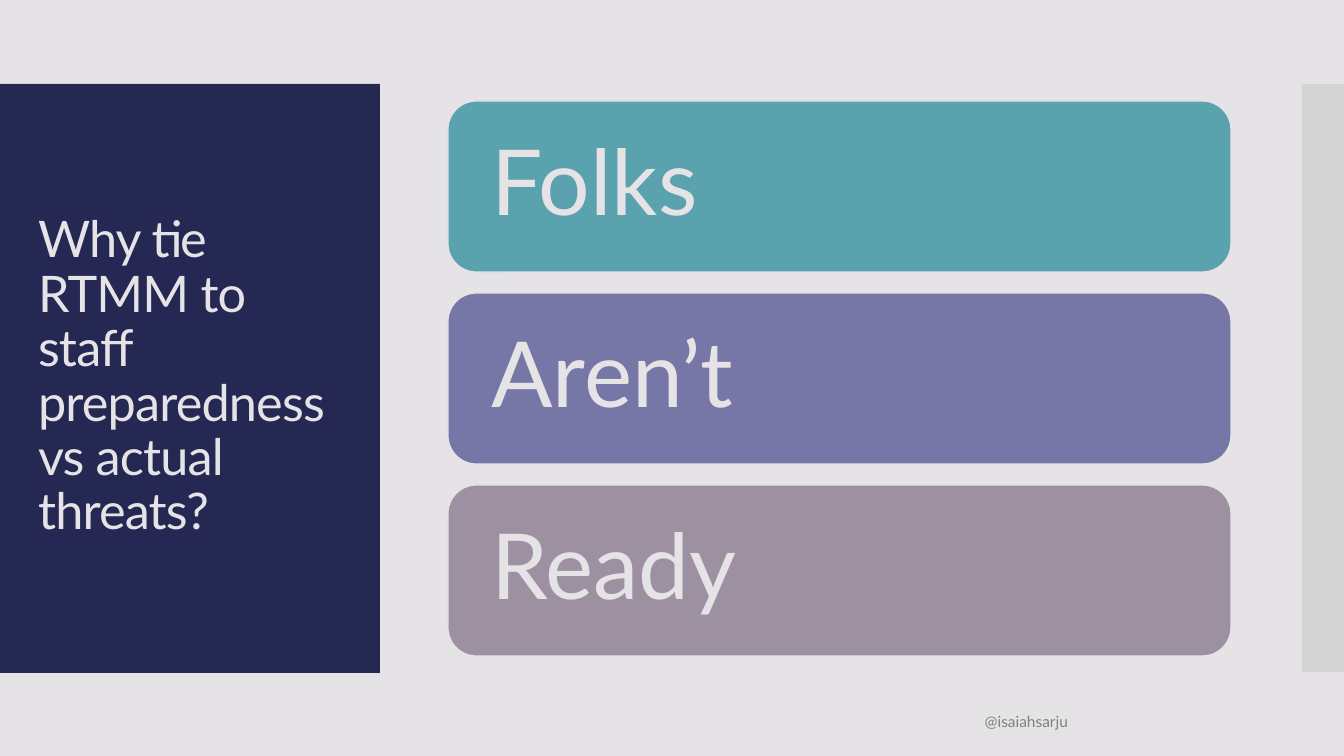
from dataclasses import dataclass
from lxml.etree import SubElement
from pptx import Presentation
from pptx.dml.color import RGBColor
from pptx.enum.shapes import MSO_SHAPE
from pptx.enum.text import MSO_ANCHOR, MSO_AUTO_SIZE, PP_ALIGN
from pptx.oxml.ns import qn
from pptx.util import Pt

SCALE = 12192000 / 1344


@dataclass(frozen=True)
class Theme:
    font: str = "Lato"
    paper: str = "E5E3E6"
    navy: str = "242852"
    edge: str = "C8C8C8"
    muted: str = "808080"
    cards: tuple = ("5AA2AE", "7677A6", "9D90A0")
    title: int = 36
    card: int = 65
    footer: int = 11


T = Theme()


def px(n):
    return round(n * SCALE)


def rgb(color):
    return RGBColor.from_string(color)


def write(sp, text, size, color, align=PP_ALIGN.LEFT, spacing=None, track=None, inset=(10, 5)):
    tf = sp.text_frame
    tf.word_wrap = True
    tf.auto_size = MSO_AUTO_SIZE.NONE
    tf.vertical_anchor = MSO_ANCHOR.MIDDLE
    tf.margin_left = tf.margin_right = px(inset[0])
    tf.margin_top = tf.margin_bottom = px(inset[1])
    p = tf.paragraphs[0]
    p.alignment = align
    p.line_spacing = spacing
    r = p.add_run()
    r.text = text
    r.font.name = T.font
    r.font.size = Pt(size)
    r.font.color.rgb = rgb(color)
    if track is not None:
        r.font._element.set("spc", str(round(track * 100)))


def block(s, box, fill, kind=MSO_SHAPE.RECTANGLE, line=None, alpha=None):
    sp = s.shapes.add_shape(kind, *map(px, box))
    sp.shadow.inherit = False
    sp.fill.solid()
    sp.fill.fore_color.rgb = rgb(fill)
    if alpha is not None:
        clr = sp._element.spPr.find(qn("a:solidFill"))[0]
        SubElement(clr, qn("a:alpha")).set("val", str(alpha * 1000))
    if line:
        sp.line.color.rgb = rgb(line)
        sp.line.width = Pt(0.85)
    else:
        sp.line.fill.background()
    return sp


def title_panel(s, box, text):
    x, y, w, h = box
    panel = block(s, box, T.navy)
    title = s.shapes.title
    panel._element.addnext(title._element)
    title.left, title.top, title.width, title.height = map(px, (x + 28, y + 40, w - 55, h - 82))
    write(title, text, T.title, T.paper, spacing=0.9, track=-0.6)


def card_stack(s, box, words, gap=21):
    x, y, w, h = box
    card_h = (h - gap * (len(words) - 1)) / len(words)
    for i, (word, fill) in enumerate(zip(words, T.cards)):
        card = block(s, (x, y + i * (card_h + gap), w, card_h), fill,
                     MSO_SHAPE.ROUNDED_RECTANGLE, T.paper)
        write(card, word, T.card, T.paper, spacing=0.9, inset=(35, 35))


def footer(s, box, text):
    sp = s.shapes.add_textbox(*map(px, box))
    write(sp, text, T.footer, T.muted, align=PP_ALIGN.RIGHT)


def main():
    prs = Presentation()
    prs.slide_width, prs.slide_height = px(1344), px(756)
    s = prs.slides.add_slide(prs.slide_layouts[5])
    s.background.fill.solid()
    s.background.fill.fore_color.rgb = rgb(T.paper)
    block(s, (1302, 84, 42, 588), T.edge, alpha=50)
    title_panel(s, (0, 84, 380, 589), "Why tie RTMM to staff preparedness vs actual threats?")
    card_stack(s, (448, 101, 783, 555), ("Folks", "Aren’t", "Ready"))
    footer(s, (426, 701, 652, 40), "@isaiahsarju")
    prs.save("out.pptx")


main()
